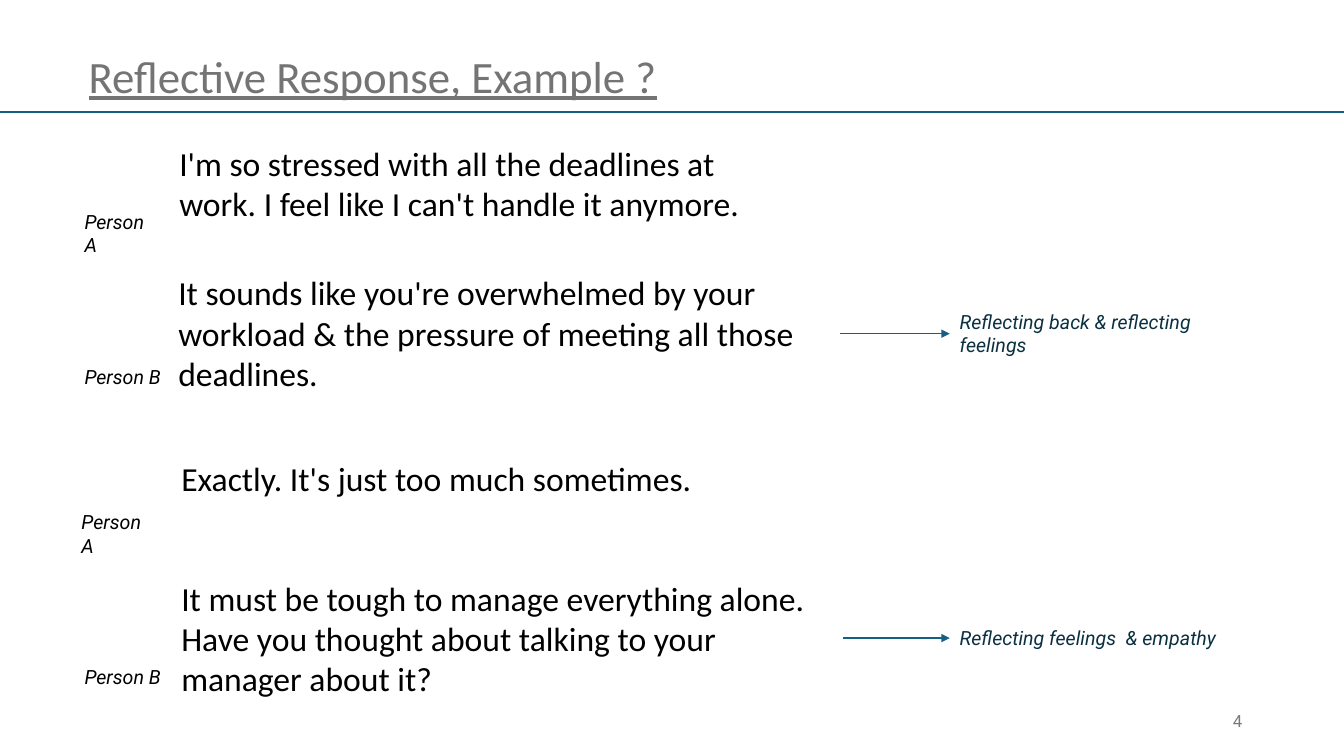
from lxml import etree
from pptx import Presentation
from pptx.dml.color import RGBColor
from pptx.enum.shapes import MSO_CONNECTOR
from pptx.enum.text import MSO_ANCHOR, MSO_AUTO_SIZE, PP_ALIGN
from pptx.oxml.ns import qn
from pptx.util import Inches, Pt

BLACK = RGBColor(0x00, 0x00, 0x00)
GREY = RGBColor(0x74, 0x74, 0x74)
NUMBER_GREY = RGBColor(0x79, 0x79, 0x79)
NAVY = RGBColor(0x0B, 0x30, 0x41)
TEAL = RGBColor(0x15, 0x60, 0x82)

WIDTH, HEIGHT = 13.33, 7.5
NOTE_LEFT, NOTE_WIDTH = 9.42, 2.83
LABEL_WIDTH, LABEL_HEIGHT = 0.96, 0.34

# speech, its box, speaker, speaker's left and top
TURNS = [
    ("I'm so stressed with all the deadlines at work. I feel like I can't handle it anymore.",
     (1.68, 1.37, 6.23, 0.91), "Person A", (0.74, 2.03)),
    ("It sounds like you're overwhelmed by your workload & the pressure of meeting all those deadlines.",
     (1.67, 2.65, 6.66, 1.31), "Person B", (0.74, 3.57)),
    ("Exactly. It's just too much sometimes.",
     (1.7, 4.49, 6.66, 0.5), "Person A", (0.71, 5.01)),
    ("It must be tough to manage everything alone. Have you thought about talking to your manager about it?",
     (1.7, 5.68, 6.66, 1.31), "Person B", (0.74, 6.55)),
]
# technique, arrow start, middle of the row, note height
NOTES = [
    ("Reflecting back & reflecting feelings", 8.33, 3.31, 0.57),
    ("Reflecting feelings  & empathy", 8.36, 6.33, 0.34),
]


def style(p, size, name, color, italic=None):
    font = p.font
    font.size, font.name, font.italic = Pt(size), name, italic
    font.color.rgb = color


def add_text(s, text, box, size, name, color, italic=None):
    tf = s.shapes.add_textbox(*map(Inches, box)).text_frame
    tf.word_wrap = True
    p = tf.paragraphs[0]
    p.text = text
    style(p, size, name, color, italic)
    return tf


def add_line(s, left, right, y, weight, arrow=False):
    line = s.shapes.add_connector(
        MSO_CONNECTOR.STRAIGHT, *map(Inches, (left, y, right, y)))
    line.line.color.rgb = TEAL
    line.line.width = Pt(weight)
    if arrow:
        etree.SubElement(line.line._get_or_add_ln(), qn("a:tailEnd"), type="triangle")
    etree.SubElement(line._element.spPr, qn("a:effectLst"))


def add_header(s, box):
    title = s.shapes.title
    title.left, title.top, title.width, title.height = map(Inches, box)
    tf = title.text_frame
    tf.text = "Reflective Response, Example ?"
    tf.auto_size = MSO_AUTO_SIZE.NONE
    tf.vertical_anchor = MSO_ANCHOR.MIDDLE
    p = tf.paragraphs[0]
    p.alignment = PP_ALIGN.LEFT
    p.line_spacing = 0.9
    style(p, 32, "Calibri", GREY)
    p.font.underline = True
    add_line(s, 0, WIDTH, 1.11, 1.5)


def add_turn(s, speech, box, speaker, corner):
    add_text(s, speech, box, 24, "Calibri", BLACK)
    add_text(s, speaker, (*corner, LABEL_WIDTH, LABEL_HEIGHT), 14, "Roboto", BLACK, True)


def add_note(s, text, start, middle, height):
    """Name the technique, with an arrow to it from the speech."""
    box = (NOTE_LEFT, middle - height / 2, NOTE_WIDTH, height)
    add_text(s, text, box, 14, "Roboto", NAVY, True)
    add_line(s, start, NOTE_LEFT, middle, 1, arrow=True)


def add_page_number(s, number, box):
    tf = add_text(s, number, box, 12, "Roboto", NUMBER_GREY)
    tf.vertical_anchor = MSO_ANCHOR.MIDDLE
    tf.paragraphs[0].alignment = PP_ALIGN.RIGHT


def main():
    prs = Presentation()
    prs.slide_width, prs.slide_height = Inches(WIDTH), Inches(HEIGHT)
    s = prs.slides.add_slide(prs.slide_layouts[5])
    add_header(s, (0.78, 0.48, 5.88, 0.61))
    for turn in TURNS:
        add_turn(s, *turn)
    for note in NOTES:
        add_note(s, *note)
    add_page_number(s, "4", (NOTE_LEFT, 6.95, 3, 0.4))
    prs.save("out.pptx")


if __name__ == "__main__":
    main()
